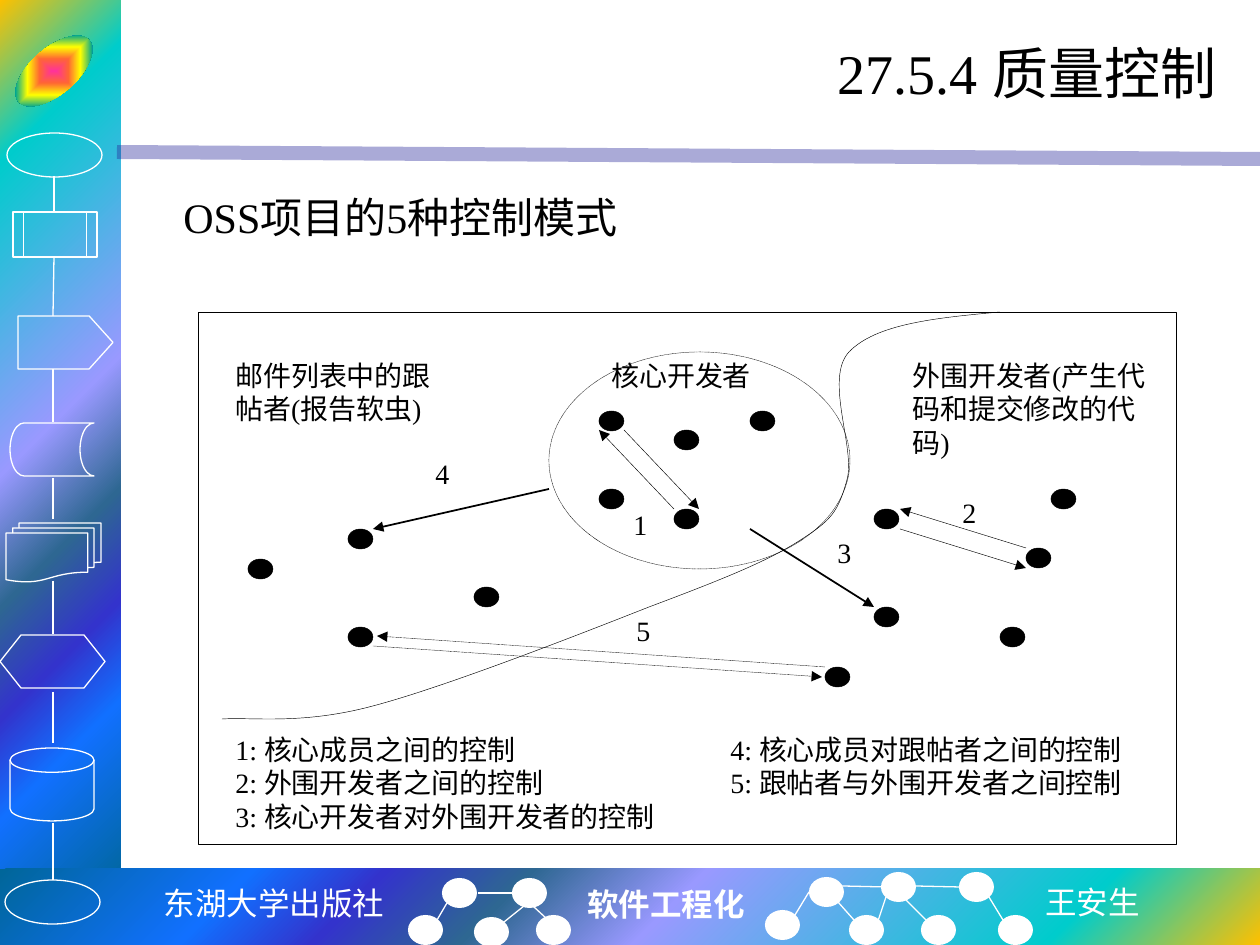
from lxml import etree
from pptx import Presentation
from pptx.dml.color import RGBColor
from pptx.enum.dml import MSO_LINE
from pptx.enum.shapes import MSO_CONNECTOR, MSO_SHAPE
from pptx.enum.text import MSO_ANCHOR, PP_ALIGN
from pptx.oxml.ns import qn
from pptx.util import Pt

SCALE = 914400 / 126
COLORS = {"ink": "000000", "paper": "FFFFFF", "rule": "262699"}
SPECTRUM = [(0, "FFC000"), (16, "00CCCC"), (47, "9999FF"), (60, "2E6792"),
            (71, "3333CC"), (81, "1170FF"), (100, "006699")]
GLOW = [(0, "FF3399"), (25, "FF6633"), (50, "FFFF00"), (75, "01A78F"), (100, "3366FF")]
SERIF, MONO, SANS = "Times New Roman", "Courier New", "Noto Sans CJK SC"
LEFT, CENTER, RIGHT = PP_ALIGN.LEFT, PP_ALIGN.CENTER, PP_ALIGN.RIGHT
TOP, MIDDLE = MSO_ANCHOR.TOP, MSO_ANCHOR.MIDDLE
OVAL, RECT = MSO_SHAPE.OVAL, MSO_SHAPE.RECTANGLE
DOTTED = MSO_LINE.ROUND_DOT
STRAIGHT = MSO_CONNECTOR.STRAIGHT

FLOW_SYMBOLS = [
    (OVAL, (7, 133, 95, 44)),
    (MSO_SHAPE.FLOWCHART_PREDEFINED_PROCESS, (13, 212, 84, 45)),
    (MSO_SHAPE.PENTAGON, (18, 316, 95, 53)),
    (MSO_SHAPE.FLOWCHART_STORED_DATA, (10, 423, 84, 53)),
    (MSO_SHAPE.FLOWCHART_MULTIDOCUMENT, (6, 523, 95, 59)),
    (MSO_SHAPE.FLOWCHART_PREPARATION, (0, 635, 105, 53)),
    (MSO_SHAPE.FLOWCHART_MAGNETIC_DISK, (10, 748, 84, 73)),
    (OVAL, (5, 880, 95, 44)),
]
FLOW_LINKS = [(54, 176, 54, 212), (54, 258, 53, 316), (53, 369, 53, 422),
              (53, 478, 53, 519), (53, 581, 53, 634), (53, 692, 53, 743),
              (53, 823, 53, 880)]
TREE_NODES = [(442, 878), (512, 878), (408, 915), (474, 917), (536, 915), (765, 910),
              (809, 877), (849, 915), (881, 872), (921, 915), (959, 872), (998, 915)]
TREE_LINKS = [(437, 920, 447, 903), (504, 922, 524, 906), (512, 893, 478, 893),
              (547, 919, 534, 907), (854, 920, 838, 902), (926, 920, 901, 895),
              (1003, 920, 989, 897), (878, 921, 886, 897), (915, 886, 959, 887),
              (795, 915, 809, 892), (842, 886, 886, 887)]
DEVELOPERS = [(599, 411), (674, 430), (750, 411), (674, 509), (599, 489),
              (248, 559), (348, 529), (348, 627), (474, 587), (825, 667),
              (874, 509), (1026, 548), (1051, 489), (1000, 627), (874, 607)]
CONTROLS = [((624, 430, 699, 509), 0.25, None), ((674, 509, 599, 430), 0.25, None),
            ((549, 489, 373, 529), 1, None), ((750, 529, 874, 607), 1, None),
            ((900, 529, 1026, 568), 0.25, None), ((1026, 548, 900, 509), 0.25, None),
            ((825, 667, 377, 636), 0.25, DOTTED), ((373, 646, 822, 677), 0.25, DOTTED)]
BOUNDARY = [(1000, 312), (935, 318), (876, 324), (849, 352), (824, 379), (856, 449),
            (847, 480), (838, 512), (832, 520), (799, 541), (766, 562), (721, 580),
            (649, 607), (578, 635), (445, 687), (373, 706), (302, 725), (253, 717),
            (222, 719)]
CONTROL_NUMBERS = {"1": (621, 501), "2": (950, 489), "3": (825, 529),
                   "4": (423, 450), "5": (624, 607)}


def emu(*pixels):
    """Turn pixel lengths into EMU."""
    return [round(value * SCALE) for value in pixels]


def rgb(name):
    """Look up a named colour."""
    return RGBColor.from_string(COLORS[name])


def set_line(item, color, width, dash=None):
    """Style the outline of a shape or connector."""
    item.line.color.rgb = rgb(color)
    item.line.width = Pt(width)
    if dash:
        item.line.dash_style = dash


def add_figure(slide, kind, box, fill=None, line=None, width=0.75, dash=None):
    """Add a preset shape with optional fill and outline."""
    figure = slide.shapes.add_shape(kind, *emu(*box))
    figure.shadow.inherit = False
    if fill:
        figure.fill.solid()
        figure.fill.fore_color.rgb = rgb(fill)
    else:
        figure.fill.background()
    if line:
        set_line(figure, line, width, dash)
    else:
        figure.line.fill.background()
    return figure


def set_gradient(figure, stops, focus, form="circle"):
    """Replace the fill by a path gradient spreading from a focus rectangle."""
    properties = figure._element.spPr
    gradient = etree.Element(qn("a:gradFill"), rotWithShape="1")
    stop_list = etree.SubElement(gradient, qn("a:gsLst"))
    for position, color in stops:
        stop = etree.SubElement(stop_list, qn("a:gs"), pos=str(position * 1000))
        etree.SubElement(stop, qn("a:srgbClr"), val=color)
    spread = etree.SubElement(gradient, qn("a:path"), path=form)
    sides = {side: str(part * 1000) for side, part in zip("ltrb", focus)}
    etree.SubElement(spread, qn("a:fillToRect"), **sides)
    properties.replace(properties.find(qn("a:noFill")), gradient)


def add_link(slide, ends, color, width=0.75, dash=None, arrow=False):
    """Add a straight line, with an arrowhead at its end if asked."""
    link = slide.shapes.add_connector(STRAIGHT, *emu(*ends))
    set_line(link, color, width, dash)
    if arrow:
        etree.SubElement(link.line._get_or_add_ln(), qn("a:tailEnd"), type="triangle")
    etree.SubElement(link._element.spPr, qn("a:effectLst"))
    return link


def add_curve(slide, points):
    """Add an open curve: a start point, then three points per Bezier segment."""
    builder = slide.shapes.build_freeform(*points[0], scale=SCALE)
    builder.add_line_segments(points[1:], close=False)
    curve = builder.convert_to_shape()
    curve.shadow.inherit = False
    curve.fill.background()
    set_line(curve, "ink", 0.25)
    outline = curve._element.spPr.find(".//" + qn("a:path"))
    steps = outline.findall(qn("a:lnTo"))
    for first in range(0, len(steps), 3):
        bezier = etree.SubElement(outline, qn("a:cubicBezTo"))
        for step in steps[first:first + 3]:
            bezier.append(step[0])
            outline.remove(step)


def write(holder, lines, size, font=SERIF, color="ink", align=LEFT,
          anchor=TOP, bold=False, wrap=True):
    """Write one paragraph per line into a shape."""
    frame = holder.text_frame
    frame.word_wrap = wrap
    frame.vertical_anchor = anchor
    for index, line in enumerate(lines):
        paragraph = frame.add_paragraph() if index else frame.paragraphs[0]
        paragraph.alignment = align
        run = paragraph.add_run()
        run.text = line
        run.font.size = Pt(size)
        run.font.name = font
        run.font.bold = bold
        run.font.color.rgb = rgb(color)


def add_label(slide, box, text, size=16, **style):
    """Add a text box with one paragraph."""
    write(slide.shapes.add_textbox(*emu(*box)), [text], size, **style)


def draw_surround(slide):
    """Draw the side rail, the footer and the rule under the title."""
    for box, focus in (((0, 0, 121, 893), (0, 0, 100, 100)),
                       ((0, 869, 1260, 76), (100, 100, 0, 0))):
        set_gradient(add_figure(slide, RECT, box), SPECTRUM, focus)
    rule = add_link(slide, (117, 152, 1260, 159), "rule", 8)
    tint = rule._element.spPr.find(".//" + qn("a:srgbClr"))
    etree.SubElement(tint, qn("a:alpha"), val="39000")
    badge = add_figure(slide, OVAL, (7, 48, 94, 46))
    set_gradient(badge, GLOW, (50, 50, 50, 50), "shape")
    badge.rotation = -41
    for kind, box in FLOW_SYMBOLS:
        symbol = add_figure(slide, kind, box, line="paper")
        if kind == MSO_SHAPE.PENTAGON:
            symbol.adjustments[0] = 0.45
    for corner in TREE_NODES:
        add_figure(slide, OVAL, (*corner, 35, 30), fill="paper")
    for ends in FLOW_LINKS + TREE_LINKS:
        add_link(slide, ends, "paper")
    for box, text, style in (
            ((150, 878, 248, 50), "东湖大学出版社", {"font": MONO, "align": CENTER}),
            ((575, 879, 184, 50), "软件工程化", {"bold": True}),
            ((1033, 877, 121, 50), "王安生", {"font": SANS})):
        add_label(slide, box, text, 18, color="paper", wrap=False, **style)


def draw_diagram(slide):
    """Draw the developer groups and the controls between them."""
    add_figure(slide, RECT, (198, 312, 978, 532), line="ink", width=0.25)
    add_figure(slide, OVAL, (549, 352, 301, 217), "paper", "ink", 0.25, DOTTED)
    add_curve(slide, BOUNDARY)
    for corner in DEVELOPERS:
        add_figure(slide, OVAL, (*corner, 25, 20), "ink", "ink", 0.25)
    for ends, width, dash in CONTROLS:
        add_link(slide, ends, "ink", width, dash, arrow=True)
    add_label(slide, (599, 352, 200, 59), "核心开发者")
    add_label(slide, (223, 352, 226, 98), "邮件列表中的跟帖者(报告软虫)")
    add_label(slide, (900, 352, 276, 98), "外围开发者(产生代码和提交修改的代码)")
    for number, corner in CONTROL_NUMBERS.items():
        add_label(slide, (*corner, 50, 59), number)
    for box, lines in (
            ((223, 726, 527, 118),
             ["1: 核心成员之间的控制", "2: 外围开发者之间的控制",
              "3: 核心开发者对外围开发者的控制"]),
            ((718, 726, 442, 118),
             ["4: 核心成员对跟帖者之间的控制", "5: 跟帖者与外围开发者之间控制"])):
        write(add_figure(slide, RECT, box, fill="paper"), lines, 16)


def main():
    """Build and save the slide."""
    deck = Presentation()
    deck.slide_width, deck.slide_height = emu(1260, 945)
    slide = deck.slides.add_slide(deck.slide_layouts[5])
    draw_surround(slide)
    title = slide.shapes.title
    title.left, title.top, title.width, title.height = emu(158, 21, 1071, 102)
    write(title, ["27.5.4 质量控制"], 32, align=RIGHT, anchor=MIDDLE)
    draw_diagram(slide)
    add_label(slide, (171, 185, 464, 63), "OSS项目的5种控制模式", 24)
    deck.save("out.pptx")


main()
